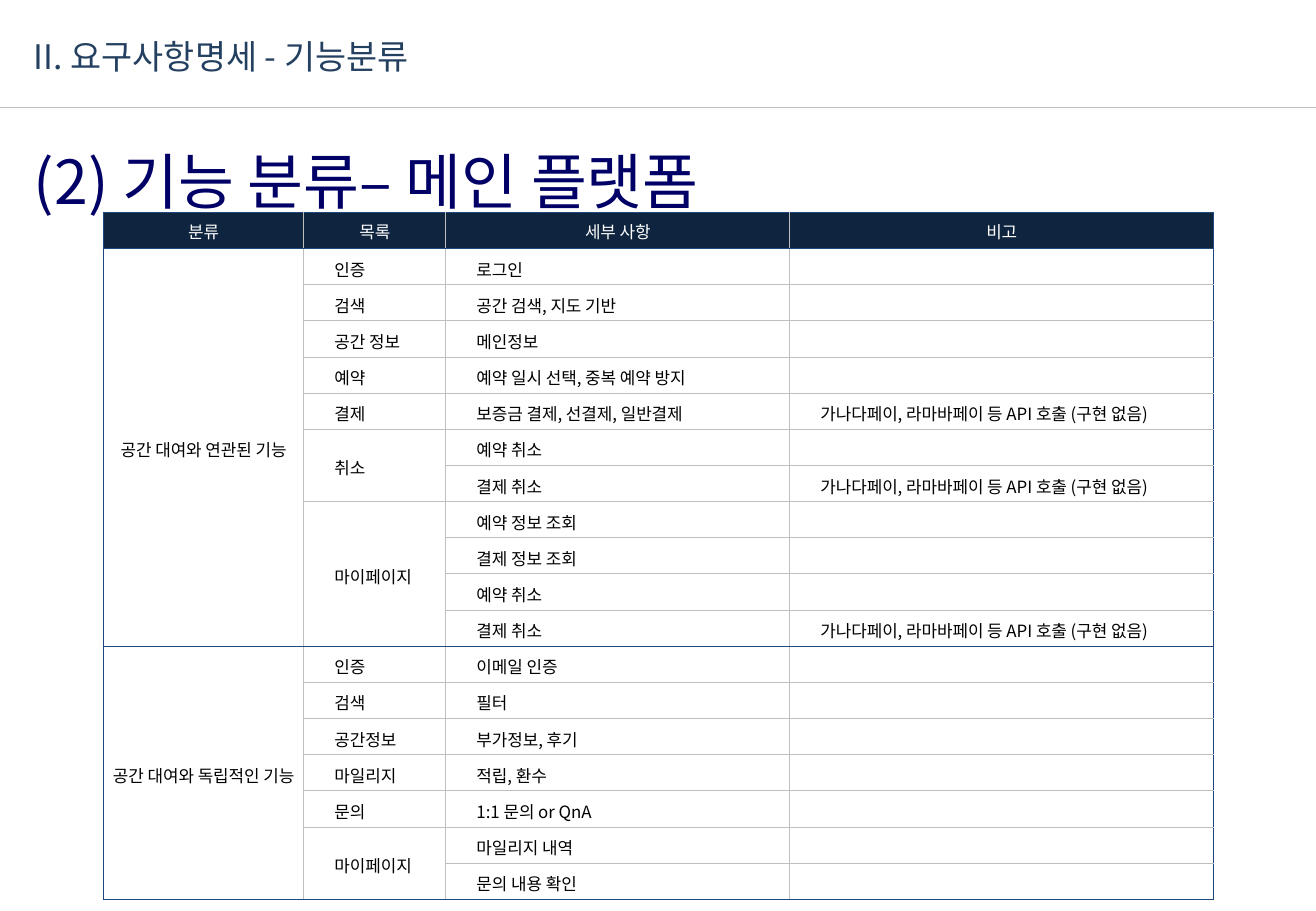
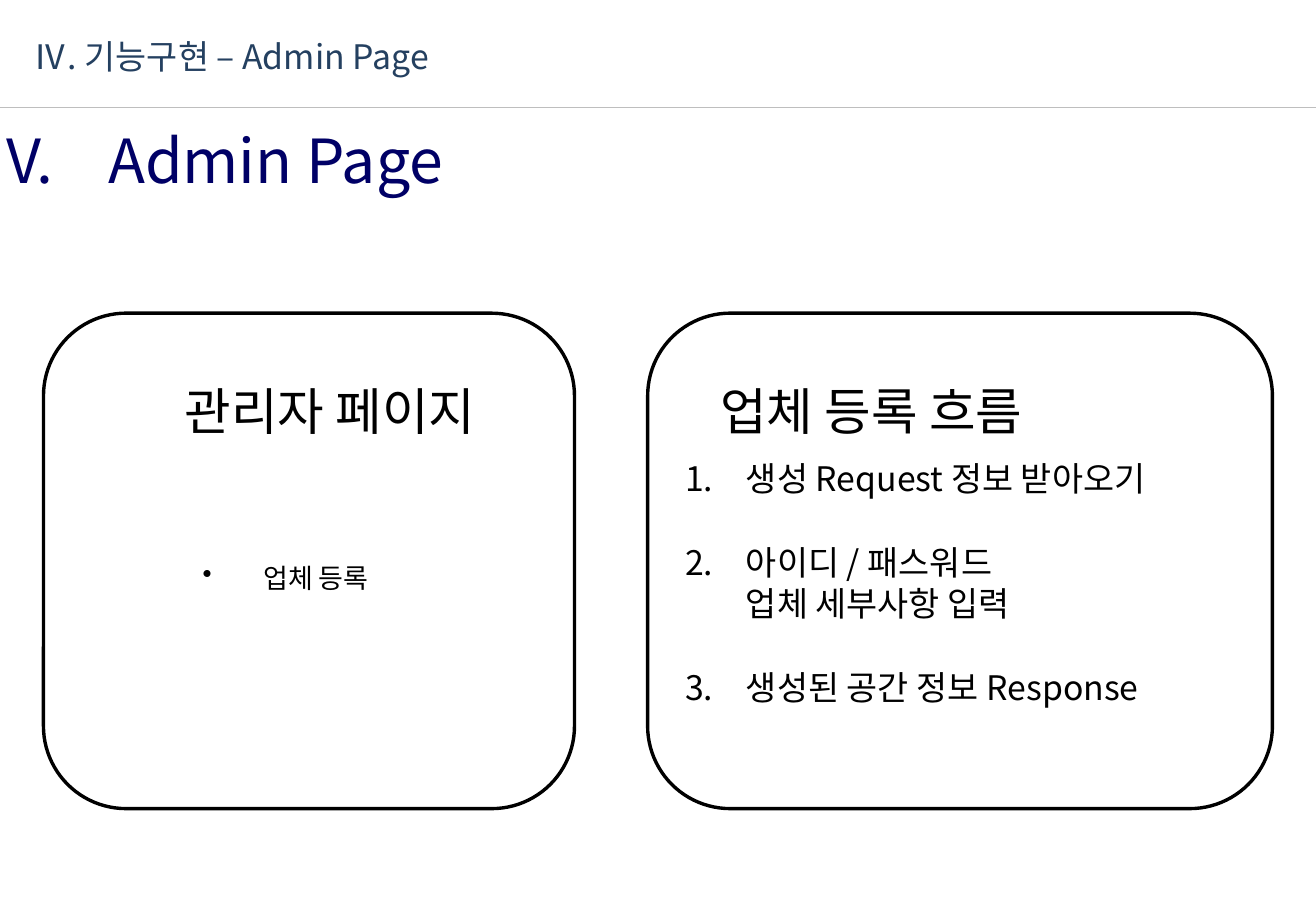
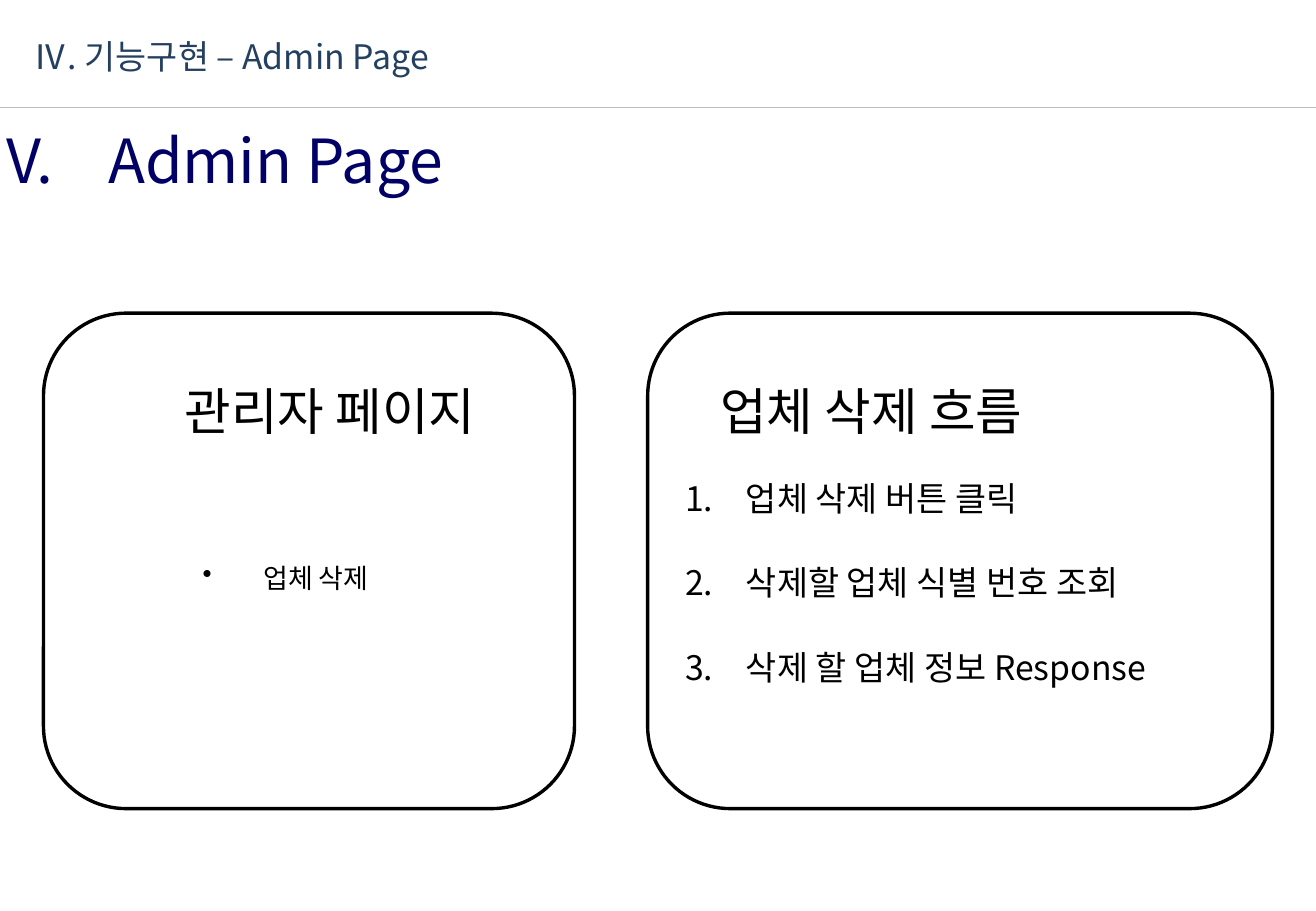
import dataclasses
import lxml.etree
import pptx
import pptx.dml.color
import pptx.enum.shapes
import pptx.enum.text
import pptx.oxml.ns
import pptx.util

Cm, Pt = pptx.util.Cm, pptx.util.Pt
qn = pptx.oxml.ns.qn
Sub = lxml.etree.SubElement
ALIGN = pptx.enum.text.PP_ALIGN
ANCHOR = pptx.enum.text.MSO_ANCHOR
FIT = pptx.enum.text.MSO_AUTO_SIZE
SHAPE = pptx.enum.shapes.MSO_SHAPE
RULE = pptx.enum.shapes.MSO_CONNECTOR.STRAIGHT


@dataclasses.dataclass(frozen=True)
class Theme:
    font: str = "Noto Sans CJK KR"
    lead: float = 1.2
    head: int = 36
    name: int = 30
    step: int = 20
    item: int = 16
    cell: int = 10
    ink: str = "000000"
    white: str = "FFFFFF"
    navy: str = "000066"
    slate: str = "244060"
    dark: str = "0F243E"
    edge: str = "1F497D"
    grid: str = "BFBFBF"
    rule: str = "BEBEBE"


def rgb(code):
    return pptx.dml.color.RGBColor.from_string(code)


def put(thing, **vals):
    for key, val in vals.items():
        setattr(thing, key, val)


def box(*sizes):
    return [Cm(size) for size in sizes]


class Deck:
    def __init__(self, theme):
        self.theme = theme
        self.file = pptx.Presentation()
        put(self.file, slide_width=Cm(27.51), slide_height=Cm(19.05))
        self.slide = None

    def page(self, part, title, left, top):
        """Start a slide with its section line and its title."""
        look = self.theme
        layout = self.file.slide_layouts.get_by_name("Title Only")
        self.slide = self.file.slides.add_slide(layout)
        if len(self.file.slides) == 1:
            self.rule(layout)
        head = self.slide.shapes.title
        put(head, left=Cm(left), top=Cm(top), width=Cm(23.5), height=Cm(1.57))
        self.flush(head.text_frame)
        self.text(head.text_frame, [title], look.head, look.navy, tab=Cm(2.13))
        self.label(part, 0.71, 0.71, 15, 0.89, look.step, look.slate, flush=True)

    def rule(self, layout):
        """Draw the line under the section line on the shared layout."""
        line = self.slide.shapes.add_connector(RULE, *box(0, 2.24, 27.51, 2.24))
        put(line.line, width=Pt(0.25))
        line.line.color.rgb = rgb(self.theme.rule)
        Sub(line.element.spPr, qn("a:effectLst"))
        layout.shapes.element.append(line.element)

    def flush(self, frame):
        put(frame, margin_left=0, margin_right=0, margin_top=Cm(0.03),
            margin_bottom=0, word_wrap=True, auto_size=FIT.NONE,
            vertical_anchor=ANCHOR.TOP)

    def text(self, frame, texts, size, color, align=ALIGN.LEFT,
             mark=None, hang=0, gap=0, tab=None):
        """Fill a frame; mark is the tag and attributes of a bullet."""
        look = self.theme
        for num, text in enumerate(texts):
            para = frame.add_paragraph() if num else frame.paragraphs[0]
            para.text = text
            props = para._p.get_or_add_pPr()
            if mark:
                props.set("marL", str(hang))
                props.set("indent", str(-Cm(1.27)))
                Sub(props, qn(mark[0]), **mark[1])
            if tab:
                Sub(Sub(props, qn("a:tabLst")), qn("a:tab"), pos=str(tab), algn="l")
            put(para, alignment=align, line_spacing=Pt(look.lead * size),
                space_before=Pt(gap if num else 0))
            for run in para.runs:
                put(run.font, name=look.font, size=Pt(size))
                run.font.color.rgb = rgb(color)
            if not text:
                Sub(para._p, qn("a:endParaRPr"), sz=str(size * 100))

    def label(self, text, left, top, width, height, size, color,
              align=ALIGN.LEFT, flush=False):
        frame = self.slide.shapes.add_textbox(
            *box(left, top, width, height)).text_frame
        frame.word_wrap = True
        if flush:
            self.flush(frame)
        self.text(frame, [text], size, color, align)

    def panel(self, left, width, texts, size, mark, hang):
        """Draw a rounded frame whose list sits below the panel's caption."""
        look = self.theme
        shape = self.slide.shapes.add_shape(
            SHAPE.ROUNDED_RECTANGLE, *box(left, 6.55, width, 10.36))
        shape.shadow.inherit = False
        shape.fill.background()
        shape.line.width = Pt(2)
        shape.line.color.rgb = rgb(look.ink)
        put(shape.text_frame, word_wrap=True, vertical_anchor=ANCHOR.MIDDLE,
            margin_top=Pt(1.45 * size))
        self.text(shape.text_frame, texts, size, look.ink, mark=mark,
                  hang=Cm(hang), gap=26)

    def caption(self, text, left, align):
        self.label(text, left, 7.83, 11, 1.55, self.theme.name, self.theme.ink, align)

    def border(self, cell, sides):
        """Set the borders from pairs of side tag and strong flag."""
        for side, strong in sides:
            line = Sub(cell._tc.get_or_add_tcPr(), qn("a:ln" + side),
                       w=str(Pt(0.75 if strong else 0.5)))
            fill = Sub(line, qn("a:solidFill"))
            Sub(fill, qn("a:srgbClr"), val=self.theme.edge if strong else self.theme.grid)

    def table(self, rows, spans, breaks, left, top, widths, height):
        """Draw a table; spans are (row, column, count), breaks strong row edges."""
        look = self.theme
        table = self.slide.shapes.add_table(
            len(rows), len(widths),
            *box(left, top, sum(widths), height)).table
        put(table, first_row=False, horz_banding=False)
        for col, width in zip(table.columns, widths):
            col.width = Cm(width)
        for row, col, count in spans:
            table.cell(row, col).merge(table.cell(row + count - 1, col))
        ends = (0, len(widths))
        for y, row in enumerate(rows):
            for x, text in enumerate(row):
                cell = table.cell(y, x)
                mid = y == 0 or x == 0
                put(cell, vertical_anchor=ANCHOR.MIDDLE, margin_right=0,
                    margin_bottom=0, margin_left=Cm(0 if mid else 0.64),
                    margin_top=Cm(0.18 if y else 0.1))
                last = y + max([n for r, c, n in spans if (r, c) == (y, x)], default=1)
                self.border(cell, [("L", x in ends), ("R", x + 1 in ends),
                                   ("T", y in breaks), ("B", last in breaks)])
                if y:
                    cell.fill.background()
                else:
                    cell.fill.solid()
                    cell.fill.fore_color.rgb = rgb(look.dark)
                self.text(cell.text_frame, [text], look.cell,
                          look.ink if y else look.white,
                          ALIGN.CENTER if mid else ALIGN.LEFT)

    def finish(self):
        """Give Korean glyphs the same font as Latin ones."""
        for slide in self.file.slides:
            for latin in list(slide.element.iter(qn("a:latin"))):
                asian = lxml.etree.Element(qn("a:ea"), typeface=self.theme.font)
                latin.addnext(asian)


PLAN = {
    "공간 대여와 연관된 기능": {
        "인증": ["로그인"],
        "검색": ["공간 검색, 지도 기반"],
        "공간 정보": ["메인정보"],
        "예약": ["예약 일시 선택, 중복 예약 방지"],
        "결제": ["보증금 결제, 선결제, 일반결제"],
        "취소": ["예약 취소", "결제 취소"],
        "마이페이지": ["예약 정보 조회", "결제 정보 조회", "예약 취소", "결제 취소"],
    },
    "공간 대여와 독립적인 기능": {
        "인증": ["이메일 인증"],
        "검색": ["필터"],
        "공간정보": ["부가정보, 후기"],
        "마일리지": ["적립, 환수"],
        "문의": ["1:1 문의 or QnA"],
        "마이페이지": ["마일리지 내역", "문의 내용 확인"],
    },
}
PAID = ("보증금 결제, 선결제, 일반결제", "결제 취소")
NOTE = "가나다페이, 라마바페이 등 API 호출 (구현 없음)"

FLOWS = {
    "업체 등록": ["생성 Request 정보 받아오기",
              "아이디 / 패스워드\v업체 세부사항 입력",
              "생성된 공간 정보 Response"],
    "업체 삭제": ["업체 삭제 버튼 클릭",
              "삭제할 업체 식별 번호 조회",
              "삭제 할 업체 정보 Response"],
}
DOT = ("a:buChar", {"char": "•"})
COUNT = ("a:buAutoNum", {"type": "arabicPeriod"})


def unfold(plan):
    """Turn the nested plan into rows, spans and strong row edges."""
    rows, spans, breaks = [("분류", "목록", "세부 사항", "비고")], [], [0, 1]
    for group, lists in plan.items():
        start = len(rows)
        for name, details in lists.items():
            if len(details) > 1:
                spans.append((len(rows), 1, len(details)))
            for num, detail in enumerate(details):
                rows.append((group if len(rows) == start else "",
                             "" if num else name, detail,
                             NOTE if detail in PAID else ""))
        spans.append((start, 0, len(rows) - start))
        breaks.append(len(rows))
    return rows, spans, breaks


def main():
    look = Theme()
    deck = Deck(look)
    deck.page("II. 요구사항명세 - 기능분류", "(2) 기능 분류– 메인 플랫폼", 0.71, 2.97)
    deck.table(*unfold(PLAN), 2.16, 4.44, (4.19, 2.97, 7.19, 8.86), 14.38)
    for task, steps in FLOWS.items():
        deck.page("Ⅳ. 기능구현 – Admin Page", "V. \tAdmin Page", 0.13, 2.54)
        deck.panel(0.91, 11.1, [task], look.item, DOT, 3.84)
        deck.panel(13.54, 13.06, steps, look.step, COUNT, 1.3)
        deck.caption(task + " 흐름", 14.81, ALIGN.LEFT)
        deck.caption("관리자 페이지", 1.4, ALIGN.CENTER)
    deck.finish()
    deck.file.save("out.pptx")


if __name__ == "__main__":
    main()
